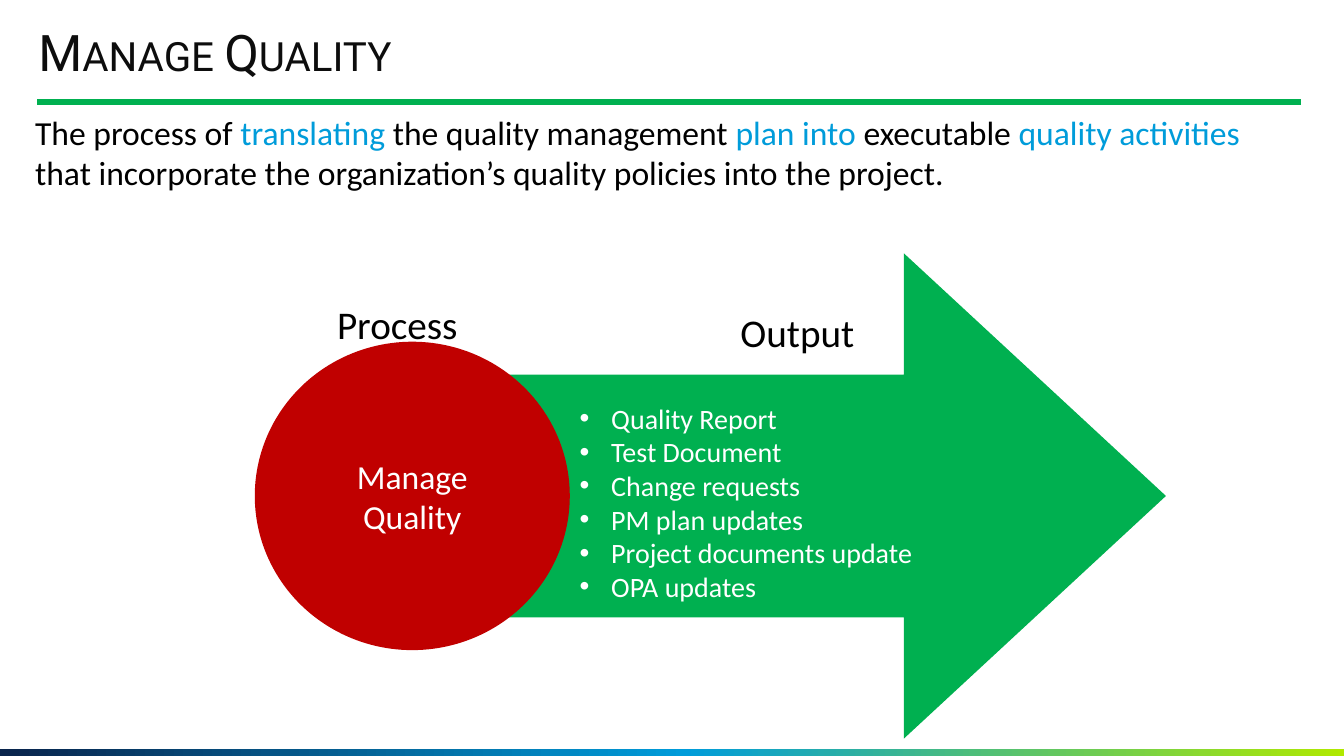
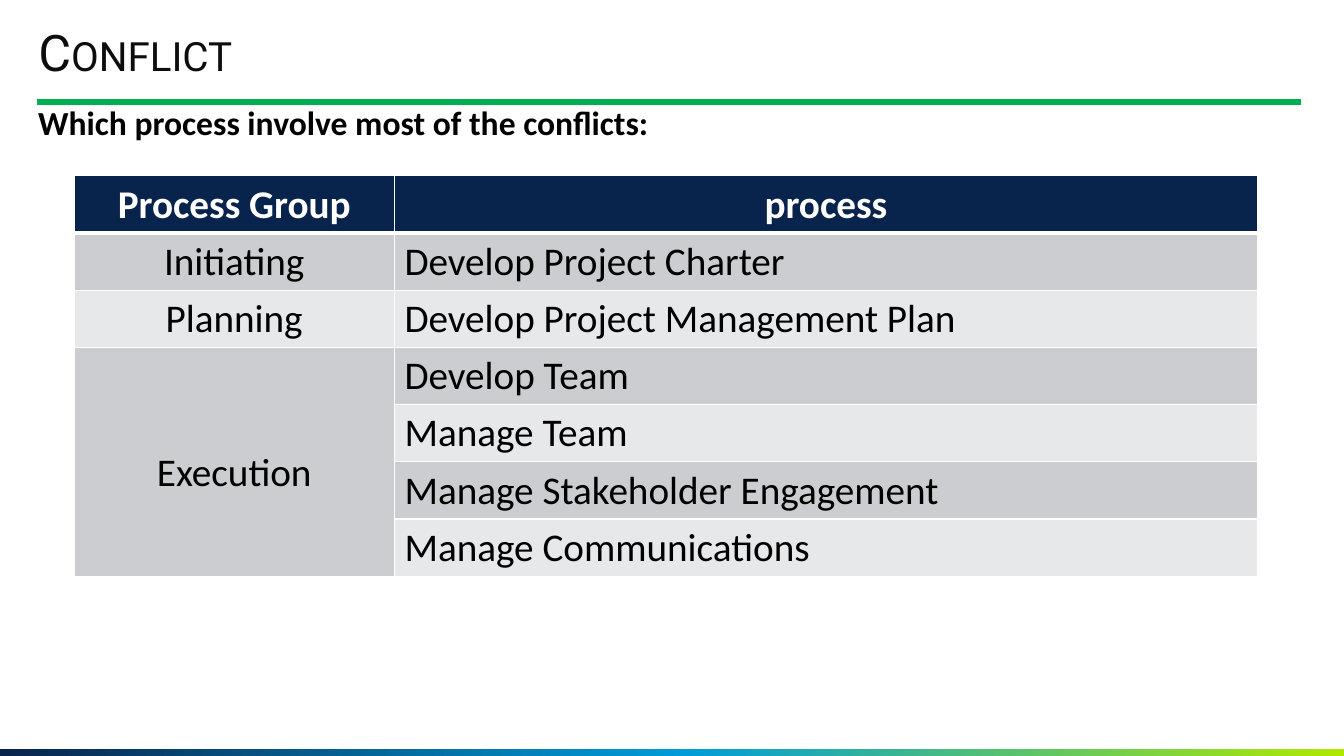
from copy import deepcopy
from dataclasses import dataclass
from typing import NamedTuple

from pptx import Presentation
from pptx.dml.color import RGBColor
from pptx.enum.shapes import MSO_CONNECTOR, MSO_SHAPE
from pptx.enum.text import MSO_ANCHOR, MSO_AUTO_SIZE, PP_ALIGN
from pptx.oxml.ns import qn
from pptx.util import Pt
from lxml.etree import SubElement

NAVY, BLUE, LIME = "09244C", "009CDA", "B0E900"
GREEN, RED = "00B050", "C00000"
BLACK, INK, WHITE = "000000", "0D0D0D", "FFFFFF"
BANDS = ("CCCDD0", "E7E8E9")
BODY, HEAD = "Calibri", "Roboto"
WIDE, HIGH = 960, 540
BAR = 5
ROW = 40.8
INDENT = 22.5


class Box(NamedTuple):
    left: float
    top: float
    width: float
    height: float

    def place(self) -> tuple:
        return tuple(Pt(n) for n in self)


class Span(NamedTuple):
    text: str
    color: str = BLACK


@dataclass
class Label:
    text: str
    box: Box


@dataclass
class Group:
    name: str
    steps: list[str]


INTRO = [
    Span("The process of "),
    Span("translating", BLUE),
    Span(" the quality management "),
    Span("plan into", BLUE),
    Span(" executable "),
    Span("quality activities ", BLUE),
    Span("that incorporate the organization’s quality policies into the project."),
]
LABELS = [
    Label("Process", Box(221.8, 211, 124, 41)),
    Label("Output", Box(507.6, 216.7, 124, 41)),
]
OUTPUTS = [
    "Quality Report",
    "Test Document",
    "Change requests",
    "PM plan updates",
    "Project documents update",
    "OPA updates",
]
GROUPS = [
    Group("Initiating", ["Develop Project Charter"]),
    Group("Planning", ["Develop Project Management Plan"]),
    Group("Execution", [
        "Develop Team",
        "Manage Team",
        "Manage Stakeholder Engagement",
        "Manage Communications",
    ]),
]


def rgb(code: str) -> RGBColor:
    return RGBColor.from_string(code)


def add_bullet(para) -> None:
    props = para._p.get_or_add_pPr()
    props.set("marL", str(Pt(INDENT)))
    props.set("indent", str(-Pt(INDENT)))
    SubElement(props, qn("a:buFont")).set("typeface", "Arial")
    SubElement(props, qn("a:buChar")).set("char", "•")


def write(frame, *paras, size=24, color=BLACK, font=BODY, bold=False,
          align=PP_ALIGN.LEFT, bullet=False, caps=False, lines=None) -> None:
    """Fill a frame; each paragraph is a string or a list of spans."""
    for i, spans in enumerate(paras):
        para = frame.add_paragraph() if i else frame.paragraphs[0]
        if bullet:
            add_bullet(para)
        para.alignment = align
        para.line_spacing = lines
        for text, tint in [(spans, color)] if isinstance(spans, str) else spans:
            run = para.add_run()
            run.text = text
            run.font.size, run.font.name, run.font.bold = Pt(size), font, bold
            run.font.color.rgb = rgb(tint)
            if caps:
                run.font._element.set("cap", "small")


def add_text(slide, box: Box, *paras, **look) -> None:
    frame = slide.shapes.add_textbox(*box.place()).text_frame
    frame.word_wrap = True
    frame.auto_size = MSO_AUTO_SIZE.SHAPE_TO_FIT_TEXT
    write(frame, *paras, **look)


def add_form(slide, kind, box: Box, color: str):
    form = slide.shapes.add_shape(kind, *box.place())
    form.shadow.inherit = False
    form.line.fill.background()
    form.fill.solid()
    form.fill.fore_color.rgb = rgb(color)
    return form


def add_bar(slide) -> None:
    box = Box(0, HIGH - BAR, WIDE, BAR)
    bar = add_form(slide, MSO_SHAPE.RECTANGLE, box, NAVY)
    bar.fill.gradient()
    bar.fill.gradient_angle = 0
    first = bar.element.find(".//" + qn("a:gs"))
    first.addnext(deepcopy(first))
    tints = [(0, NAVY), (0.51, BLUE), (1, LIME)]
    for stop, (spot, tint) in zip(bar.fill.gradient_stops, tints):
        stop.position = spot
        stop.color.rgb = rgb(tint)


def add_rule(slide) -> None:
    rule = slide.shapes.add_connector(
        MSO_CONNECTOR.STRAIGHT, Pt(26.5), Pt(72.7), Pt(929.5), Pt(72.7))
    rule.line.color.rgb = rgb(GREEN)
    rule.line.width = Pt(4.5)
    SubElement(rule.element.spPr, qn("a:effectLst"))


def add_slide(deck, name: str):
    """Add a slide with the shared title, rule and bottom bar."""
    slide = deck.slides.add_slide(deck.slide_layouts[5])
    add_bar(slide)
    add_rule(slide)
    title = slide.shapes.title
    title.left, title.top, title.width, title.height = Box(27.4, 19.4, 805.7, 39.6).place()
    frame = title.text_frame
    frame.margin_left = frame.margin_top = frame.margin_right = frame.margin_bottom = 0
    frame.vertical_anchor = MSO_ANCHOR.MIDDLE
    frame.auto_size = MSO_AUTO_SIZE.SHAPE_TO_FIT_TEXT
    write(frame, name, size=36, color=INK, font=HEAD, caps=True, lines=0.9)
    return slide


def set_edges(cell, top: float, base: float) -> None:
    props = cell._tc.get_or_add_tcPr()
    for side, width in (("L", 1), ("R", 1), ("T", top), ("B", base)):
        edge = SubElement(props, qn("a:ln" + side), w=str(Pt(width)))
        fill = SubElement(edge, qn("a:solidFill"))
        SubElement(fill, qn("a:srgbClr"), val=WHITE)


def paint(table) -> None:
    for r, row in enumerate(table.rows):
        for cell in row.cells:
            set_edges(cell, 3 if r == 1 else 1, 1 if r else 3)
            cell.fill.solid()
            cell.fill.fore_color.rgb = rgb(BANDS[(r - 1) % 2] if r else NAVY)


def add_grid(slide, heads: list[str], groups: list[Group]) -> None:
    count = 1 + sum(len(group.steps) for group in groups)
    box = Box(52.8, 125.6, 845.3, count * ROW)
    table = slide.shapes.add_table(count, 2, *box.place()).table
    for col, width in zip(table.columns, (229, 616.3)):
        col.width = Pt(width)
    for row in table.rows:
        row.height = Pt(ROW)
    paint(table)
    for c, head in enumerate(heads):
        write(table.cell(0, c).text_frame, head, size=28, color=WHITE,
              bold=True, align=PP_ALIGN.CENTER)
    r = 1
    for group in groups:
        cell, span = table.cell(r, 0), len(group.steps)
        if span > 1:
            cell.merge(table.cell(r + span - 1, 0))
            cell.vertical_anchor = MSO_ANCHOR.MIDDLE
            cell.margin_top = Pt(19.6)
        write(cell.text_frame, group.name, size=28, align=PP_ALIGN.CENTER)
        for step in group.steps:
            write(table.cell(r, 1).text_frame, step, size=28)
            r += 1


def add_quality(deck) -> None:
    slide = add_slide(deck, "Manage Quality")
    add_text(slide, Box(18, 76.3, 900, 65.5), INTRO)
    arrow = add_form(slide, MSO_SHAPE.RIGHT_ARROW, Box(346.3, 180.9, 486.5, 346.7), GREEN)
    arrow.adjustments[0], arrow.adjustments[1] = 0.5, 0.54
    disc = add_form(slide, MSO_SHAPE.OVAL, Box(182, 244.1, 225, 220.3), RED)
    disc.text_frame.word_wrap = True
    disc.text_frame.vertical_anchor = MSO_ANCHOR.MIDDLE
    write(disc.text_frame, "Manage Quality", color=WHITE, align=PP_ALIGN.CENTER)
    for label in LABELS:
        add_text(slide, label.box, label.text, size=28, align=PP_ALIGN.CENTER)
    add_text(slide, Box(407, 283, 401.8, 152.6), *OUTPUTS,
             size=20, color=WHITE, bullet=True)


def add_conflict(deck) -> None:
    slide = add_slide(deck, "Conflict")
    add_text(slide, Box(20.2, 69.1, 909.4, 36),
             "Which process involve most of the conflicts:", bold=True)
    add_grid(slide, ["Process Group", "process"], GROUPS)


def main() -> None:
    deck = Presentation()
    deck.slide_width, deck.slide_height = Pt(WIDE), Pt(HIGH)
    add_quality(deck)
    add_conflict(deck)
    deck.save("out.pptx")


if __name__ == "__main__":
    main()
